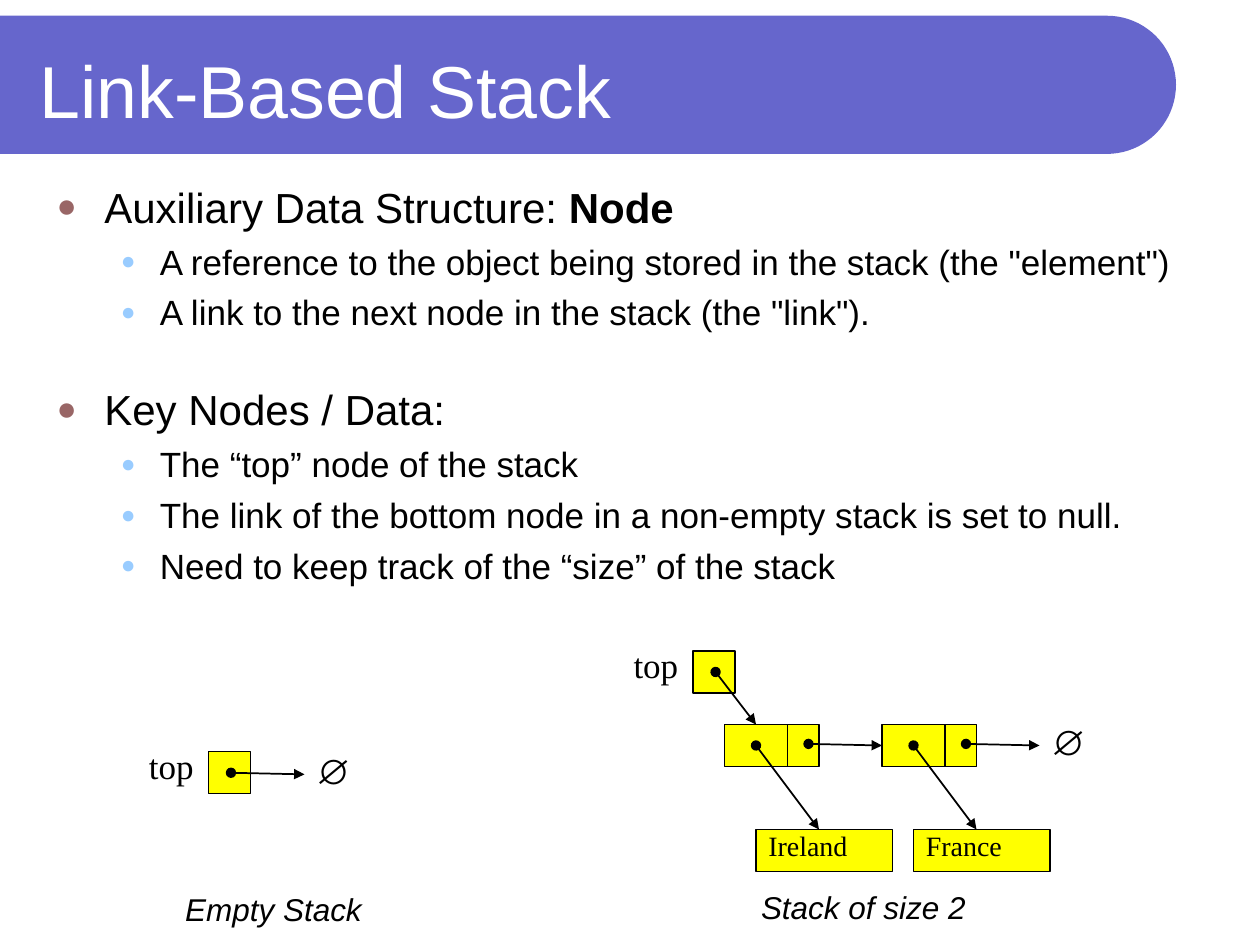
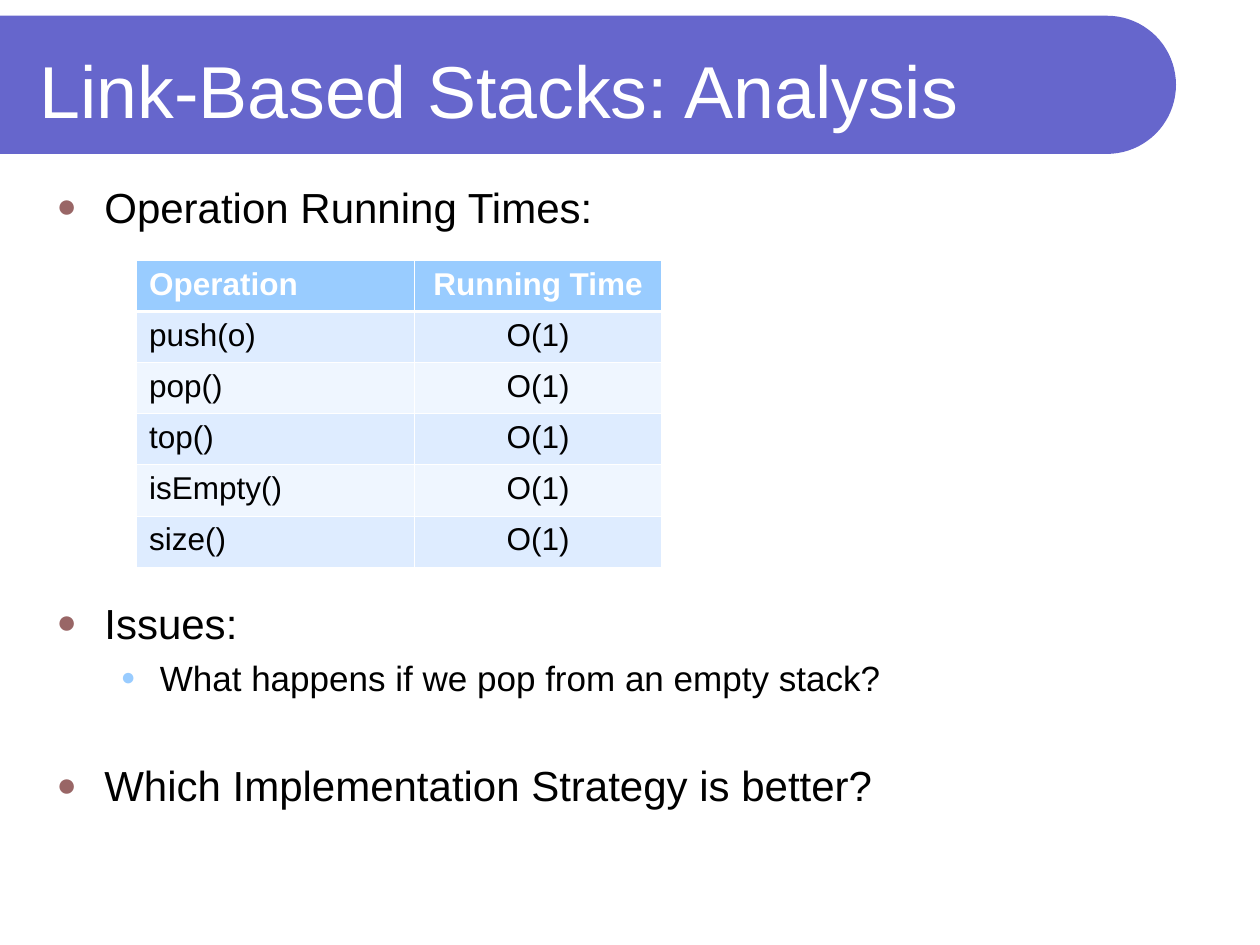
import math

from lxml import etree
from pptx import Presentation
from pptx import util as u
from pptx.dml.color import RGBColor
from pptx.enum import shapes, text
from pptx.oxml import ns

COLORS = {"band": "6666CC", "white": "FFFFFF", "ink": "000000", "node": "FFFF00",
          "bullet": "996666", "subbullet": "99CCFF", "header": "99CCFF",
          "odd": "DEECFF", "even": "EFF6FF"}
COLUMNS, ROWS = 120, 90
CELL = u.Inches(10) // COLUMNS
SERIF = "Times New Roman"
LEVELS = [dict(size=24, indent=0.38, hang=0.38, before=6, color="bullet", scale=80),
          dict(size=20, indent=0.82, hang=0.31, before=5, color="subbullet", scale=70)]


def grid(*lengths):
    """Turn grid columns and rows into slide lengths."""
    return [round(length * CELL) for length in lengths]


def rgb(name):
    """Look up a palette colour."""
    return RGBColor.from_string(COLORS[name])


def add_xml(parent, tag, **attributes):
    """Append one drawing element."""
    return etree.SubElement(parent, ns.qn(tag), attributes)


def write(frame, words, size=18, font="Arial", color="ink", bold=False, italic=False,
          align="LEFT", before=0, line=None, level=None, bold_tail=""):
    """Add a formatted paragraph to a text frame and return it."""
    unused = len(frame.paragraphs) == 1 and not frame.text
    paragraph = frame.paragraphs[0] if unused else frame.add_paragraph()
    paragraph.alignment = getattr(text.PP_ALIGN, align)
    if level is not None:
        style = LEVELS[level]
        size = style["size"]
        paragraph.level = level
        props = paragraph._p.get_or_add_pPr()
        props.set("marL", str(u.Inches(style["indent"])))
        props.set("indent", str(-u.Inches(style["hang"])))
        add_xml(add_xml(props, "a:buClr"), "a:srgbClr", val=COLORS[style["color"]])
        add_xml(props, "a:buSzPct", val=str(style["scale"] * 1000))
        add_xml(props, "a:buFont", typeface="Arial")
        add_xml(props, "a:buChar", char="●")
    if line:
        paragraph.line_spacing = line
    if before:
        paragraph.space_before = u.Pt(before)
    for part, heavy in ((words, bold), (bold_tail, True)):
        if part:
            run = paragraph.add_run()
            run.text = part
            run.font.size, run.font.name = u.Pt(size), font
            run.font.bold, run.font.italic = heavy, italic
            run.font.color.rgb = rgb(color)
    return paragraph


def text_area(slide, box, anchor="TOP", wrap=True):
    """Add a text box and return its frame."""
    frame = slide.shapes.add_textbox(*grid(*box)).text_frame
    frame.word_wrap = wrap
    frame.vertical_anchor = getattr(text.MSO_ANCHOR, anchor)
    return frame


def label(slide, box, words, **style):
    """Place a one-line label."""
    write(text_area(slide, box, wrap=False), words, **style)


def header(slide, title, box=(0, 1.5, 112, 13.16)):
    """Draw the round-ended band and its title."""
    left, top, width, height = box
    radius = height / 2
    center = left + width - radius
    arc = [(center + radius * math.sin(math.pi * step / 40),
            top + radius - radius * math.cos(math.pi * step / 40)) for step in range(41)]
    outline = slide.shapes.build_freeform(*grid(left, top))
    outline.add_line_segments([grid(*point) for point in arc + [(left, top + height)]])
    band = outline.convert_to_shape()
    band.shadow.inherit = False
    band.fill.solid()
    band.fill.fore_color.rgb = rgb("band")
    band.line.fill.background()
    write(text_area(slide, (left + 2.55, top + 1, width - 6.8, 12), "MIDDLE"),
          title, size=42, color="white")


def outline_list(slide, points, box=(4.2, 16.65, 111.5, 69)):
    """Write bulleted points given as (level, words, extra gap, bold tail)."""
    frame = text_area(slide, box)
    for position, (level, words, gap, tail) in enumerate(points):
        before = LEVELS[level]["before"] + gap if position else 0
        write(frame, words, level=level, before=before, bold_tail=tail)


def node_box(slide, box, words=""):
    """Draw a yellow memory cell, with its value if it has one."""
    cell = slide.shapes.add_shape(shapes.MSO_SHAPE.RECTANGLE, *grid(*box))
    cell.shadow.inherit = False
    cell.fill.solid()
    cell.fill.fore_color.rgb = rgb("node")
    cell.line.color.rgb = rgb("ink")
    cell.line.width = u.Pt(0.75)
    if words:
        cell.text_frame.vertical_anchor = text.MSO_ANCHOR.MIDDLE
        write(cell.text_frame, words, size=16, font=SERIF, line=0.6)


def link(slide, start, end, pointer=True):
    """Draw a pointer arrow, or a plain divider."""
    stroke = slide.shapes.add_connector(shapes.MSO_CONNECTOR.STRAIGHT,
                                        *grid(*start, *end))
    stroke.line.color.rgb = rgb("ink")
    stroke.line.width = u.Pt(1 if pointer else 0.75)
    if pointer:
        ends = stroke.line._get_or_add_ln()
        add_xml(ends, "a:headEnd", type="oval")
        add_xml(ends, "a:tailEnd", type="triangle")
    add_xml(stroke._element.spPr, "a:effectLst")


def top_pointer(slide, left, top, target):
    """Draw the labelled top cell and its pointer."""
    node_box(slide, (left, top, 4, 4))
    label(slide, (left - 6.84, top + 0.1, 6.84, 3.6), "top", size=20, font=SERIF, line=0.6)
    link(slide, (left + 2.15, top + 2), target)


def null_mark(slide, left, top):
    """Write the null sign centred on the end of a pointer."""
    label(slide, (left, top - 3, 5, 5.3), "∅", size=20)


def caption(slide, left, top, words):
    """Write a diagram caption in a box with room to spare."""
    label(slide, (left, top, 30, 4.8), words, italic=True)


def list_node(slide, left, top, element):
    """Draw a node with its element and its pointer to the next node."""
    node_box(slide, (left, top, 9, 4))
    link(slide, (left + 6, top), (left + 6, top + 4), pointer=False)
    link(slide, (left + 8, top + 1.85), (left + 15, top + 2))
    link(slide, (left + 3, top + 2), (left + 9, top + 10))
    node_box(slide, (left + 3, top + 10, 13, 4), element)


def empty_stack(slide, left, top):
    """Draw the diagram of an empty stack."""
    top_pointer(slide, left, top, (left + 9.15, top + 2.15))
    null_mark(slide, left + 9.05, top + 2.15)
    caption(slide, left - 3.4, top + 12.55, "Empty Stack")


def filled_stack(slide, left, top, elements):
    """Draw the diagram of a stack that holds the given elements."""
    first, row, pitch = left + 3, top + 7, 15
    top_pointer(slide, left, top, (first + 3, row))
    for position, element in enumerate(elements):
        list_node(slide, first + position * pitch, row, element)
    null_mark(slide, first + len(elements) * pitch - 0.1, row + 2)
    caption(slide, left + 5.3, top + 22, f"Stack of size {len(elements)}")


def border(cell, widths):
    """Give a cell white borders of the widths in points."""
    props = cell._tc.get_or_add_tcPr()
    for side, width in zip("LRTB", widths):
        edge = add_xml(props, f"a:ln{side}", w=str(u.Pt(width)))
        add_xml(add_xml(edge, "a:solidFill"), "a:srgbClr", val=COLORS["white"])


def running_times(slide, box, rows):
    """Fill the table of operations and running times."""
    table = slide.shapes.add_table(len(rows), 2, *grid(*box)).table
    for column, share in zip(table.columns, (0.53, 0.47)):
        column.width = grid(box[2] * share)[0]
    for row, entries in enumerate(rows):
        heading = row == 0
        shade = "header" if heading else ("odd" if row % 2 else "even")
        for column, words in enumerate(entries):
            cell = table.cell(row, column)
            border(cell, (0.45, 0.45, 1.47 if row == 1 else 0.45, 1.47 if heading else 0.45))
            cell.fill.solid()
            cell.fill.fore_color.rgb = rgb(shade)
            write(cell.text_frame, words, bold=heading, color="white" if heading else "ink",
                  align="CENTER" if column else "LEFT")


def structure_slide(slide):
    """Build the slide on the node structure."""
    header(slide, "Link-Based Stack")
    outline_list(slide, [
        (0, "Auxiliary Data Structure: ", 0, "Node"),
        (1, 'A reference to the object being stored in the stack (the "element")', 0, ""),
        (1, 'A link to the next node in the stack (the "link").', 0, ""),
        (0, "Key Nodes / Data:", 23, ""),
        (1, "The “top” node of the stack", 0, ""),
        (1, "The link of the bottom node in a non-empty stack is set to null.", 0, ""),
        (1, "Need to keep track of the “size” of the stack", 0, "")])
    filled_stack(slide, 66, 62, ["Ireland", "France"])
    empty_stack(slide, 19.85, 71.6)


def analysis_slide(slide):
    """Build the slide on running times."""
    header(slide, "Link-Based Stacks: Analysis")
    outline_list(slide, [
        (0, "Operation Running Times:", 0, ""),
        (0, "Issues:", 203, ""),
        (1, "What happens if we pop from an empty stack?", 0, ""),
        (0, "Which Implementation Strategy is better?", 29, "")])
    operations = ["push(o)", "pop()", "top()", "isEmpty()", "size()"]
    running_times(slide, (13, 24.8, 50, 29.2),
                  [("Operation", "Running Time")] + [(name, "O(1)") for name in operations])


def main():
    """Build and save the presentation."""
    deck = Presentation()
    deck.slide_width, deck.slide_height = grid(COLUMNS, ROWS)
    for build in (structure_slide, analysis_slide):
        build(deck.slides.add_slide(deck.slide_layouts[6]))
    deck.save("out.pptx")


if __name__ == "__main__":
    main()
